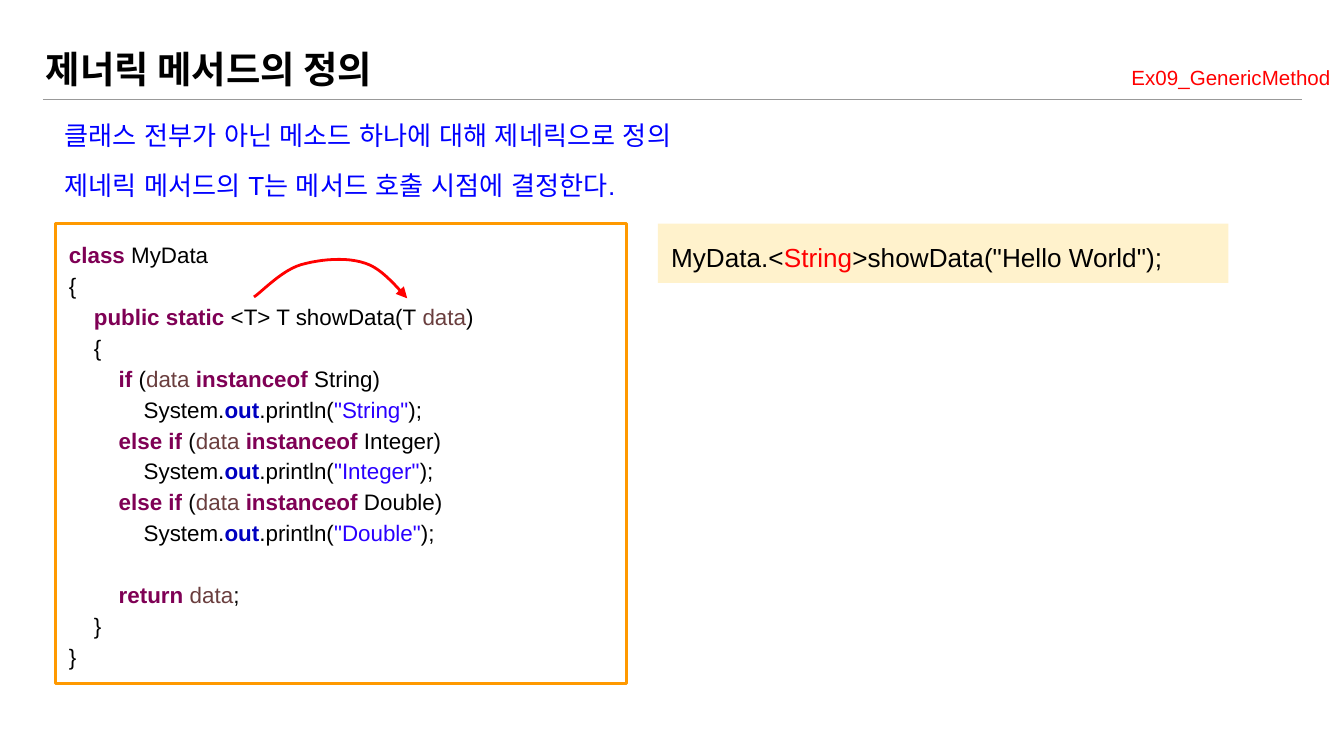
"""Build a slide that explains how a generic method is defined."""
from lxml import etree
from pptx import Presentation
from pptx.dml.color import RGBColor
from pptx.enum.shapes import MSO_CONNECTOR, MSO_SHAPE
from pptx.enum.text import MSO_ANCHOR, MSO_AUTO_SIZE, PP_ALIGN
from pptx.oxml.ns import qn
from pptx.util import Pt

PX = 4572
LATIN, KOREAN = "Arial", "Noto Sans CJK KR"
STRAIGHT, RECTANGLE = MSO_CONNECTOR.STRAIGHT, MSO_SHAPE.RECTANGLE
TOP, MIDDLE = MSO_ANCHOR.TOP, MSO_ANCHOR.MIDDLE
LEFT, RIGHT = PP_ALIGN.LEFT, PP_ALIGN.RIGHT
FIXED = MSO_AUTO_SIZE.NONE
COLORS = {
    "plain": "000000", "keyword": "7F0055", "variable": "6A3E3E",
    "field": "0000C0", "literal": "2A00FF", "summary": "0000FF",
    "accent": "FF0000", "rule": "999999", "frame": "FF9900", "call": "FFF2CC",
}
BOLD = {"keyword", "field"}
CODE_INDENT, CODE_LINE = Pt(13.34), Pt(16.5)


def color(name):
    return RGBColor.from_string(COLORS[name])


class SlideWriter:
    """Hold the style and the current slide."""

    def __init__(self, deck):
        self.slide = deck.slides.add_slide(deck.slide_layouts[1])

    def place(self, shape, box):
        shape.left, shape.top, shape.width, shape.height = (n * PX for n in box)

    def frame(self, shape, anchor=TOP):
        text = shape.text_frame
        text.word_wrap = True
        text.auto_size = FIXED
        text.vertical_anchor = anchor
        text.margin_left = text.margin_right = 20 * PX
        text.margin_top = text.margin_bottom = 20 * PX
        return text

    def paragraph(self, text, runs, size, first, east_asian=LATIN, bold=False,
                  align=LEFT, spacing=1.0, before=0, indent=0):
        paragraph = text.paragraphs[0] if first else text.add_paragraph()
        paragraph.alignment = align
        paragraph.line_spacing = spacing
        paragraph.space_before = before
        paragraph.space_after = 0
        properties = paragraph._p.get_or_add_pPr()
        properties.set("marL", str(int(indent)))
        properties.set("indent", "0")
        etree.SubElement(properties, qn("a:buNone"))
        for wording, style in runs:
            run = paragraph.add_run()
            run.text = wording
            run.font.size = Pt(size)
            run.font.name = LATIN
            run.font.bold = bold or style in BOLD
            run.font.color.rgb = color(style)
            typeface = etree.SubElement(run._r.get_or_add_rPr(), qn("a:ea"))
            typeface.set("typeface", east_asian)

    def title(self, box, wording):
        heading = self.slide.shapes.title
        self.place(heading, box)
        self.paragraph(self.frame(heading, MIDDLE), [(wording, "plain")], 20,
                       True, east_asian=KOREAN, bold=True)

    def body(self, box, points):
        summary = self.slide.placeholders[1]
        self.place(summary, box)
        text = self.frame(summary, MIDDLE)
        for number, point in enumerate(points):
            self.paragraph(text, [(point, "summary")], 14, number == 0,
                           before=Pt(10) if number else 0)

    def label(self, box, wording):
        note = self.slide.shapes.add_textbox(*(n * PX for n in box))
        self.paragraph(self.frame(note), [(wording, "accent")], 11, True,
                       align=RIGHT, spacing=1.15)

    def code(self, box, lines, size, fill=None, line=None):
        panel = self.slide.shapes.add_shape(RECTANGLE, *(n * PX for n in box))
        panel.shadow.inherit = False
        if fill:
            panel.fill.solid()
            panel.fill.fore_color.rgb = color(fill)
        else:
            panel.fill.background()
        if line:
            panel.line.color.rgb = color(line)
            panel.line.width = Pt(1.5)
        else:
            panel.line.fill.background()
        text = self.frame(panel)
        for number, (level, gap, runs) in enumerate(lines):
            self.paragraph(text, runs, size, number == 0, spacing=1.15,
                           before=gap * CODE_LINE, indent=level * CODE_INDENT)

    def rule(self, start, end):
        ends = (n * PX for n in (*start, *end))
        divider = self.slide.shapes.add_connector(STRAIGHT, *ends)
        divider.line.color.rgb = color("rule")
        divider.line.width = Pt(0.75)
        etree.SubElement(divider._element.spPr, qn("a:effectLst"))

    def curved_arrow(self, start, curves, steps=12):
        points, origin = [], start
        for curve in curves:
            corners = (origin, *curve)
            for step in range(1, steps + 1):
                t = step / steps
                weights = ((1 - t) ** 3, 3 * t * (1 - t) ** 2,
                           3 * t ** 2 * (1 - t), t ** 3)
                points.append(tuple(
                    PX * sum(w * corner[axis] for w, corner in zip(weights, corners))
                    for axis in (0, 1)))
            origin = curve[-1]
        builder = self.slide.shapes.build_freeform(start[0] * PX, start[1] * PX)
        builder.add_line_segments(points, close=False)
        arrow = builder.convert_to_shape()
        arrow.shadow.inherit = False
        arrow.fill.background()
        arrow.line.color.rgb = color("accent")
        arrow.line.width = Pt(1.5)
        etree.SubElement(arrow.line._get_or_add_ln(), qn("a:tailEnd")).set("type", "triangle")


def branch(keyword, kind):
    """Return the two code lines that test for one type."""
    return [
        (2, 0, [(keyword, "keyword"), (" (", "plain"), ("data ", "variable"),
                ("instanceof", "keyword"), (f" {kind})", "plain")]),
        (3, 0, [("System.", "plain"), ("out", "field"), (".println(", "plain"),
                (f'"{kind}"', "literal"), (");", "plain")]),
    ]


def main():
    deck = Presentation()
    deck.slide_width, deck.slide_height = 2000 * PX, 1125 * PX
    writer = SlideWriter(deck)
    writer.title((48, 48, 1644, 108), "제너릭 메서드의 정의")
    writer.rule((64, 148), (1938, 148))
    writer.body((76, 154, 1574, 168), [
        "클래스 전부가 아닌 메소드 하나에 대해 제네릭으로 정의",
        "제네릭 메서드의 T는 메서드 호출 시점에 결정한다.",
    ])
    definition = [
        (0, 0, [("class", "keyword"), (" MyData", "plain")]),
        (0, 0, [("{", "plain")]),
        (1, 0, [("public static", "keyword"), (" <T> T showData(T ", "plain"),
                ("data", "variable"), (")", "plain")]),
        (1, 0, [("{", "plain")]),
        *branch("if", "String"),
        *branch("else if", "Integer"),
        *branch("else if", "Double"),
        (2, 1, [("return ", "keyword"), ("data", "variable"), (";", "plain")]),
        (1, 0, [("}", "plain")]),
        (0, 0, [("}", "plain")]),
    ]
    writer.code((83, 333, 849, 684), definition, 12, line="frame")
    writer.curved_arrow((378, 442), [
        ((390, 434), (420, 402), (448, 394)),
        ((476, 386), (516, 382), (544, 392)),
        ((570, 400), (596, 434), (606, 444)),
    ])
    call = [(0, 0, [("MyData.<", "plain"), ("String", "accent"),
                    ('>showData("Hello World");', "plain")])]
    writer.code((979, 333, 849, 88), call, 14, fill="call")
    writer.label((1344, 71, 656, 78), "Ex09_GenericMethod")
    deck.save("out.pptx")


if __name__ == "__main__":
    main()
